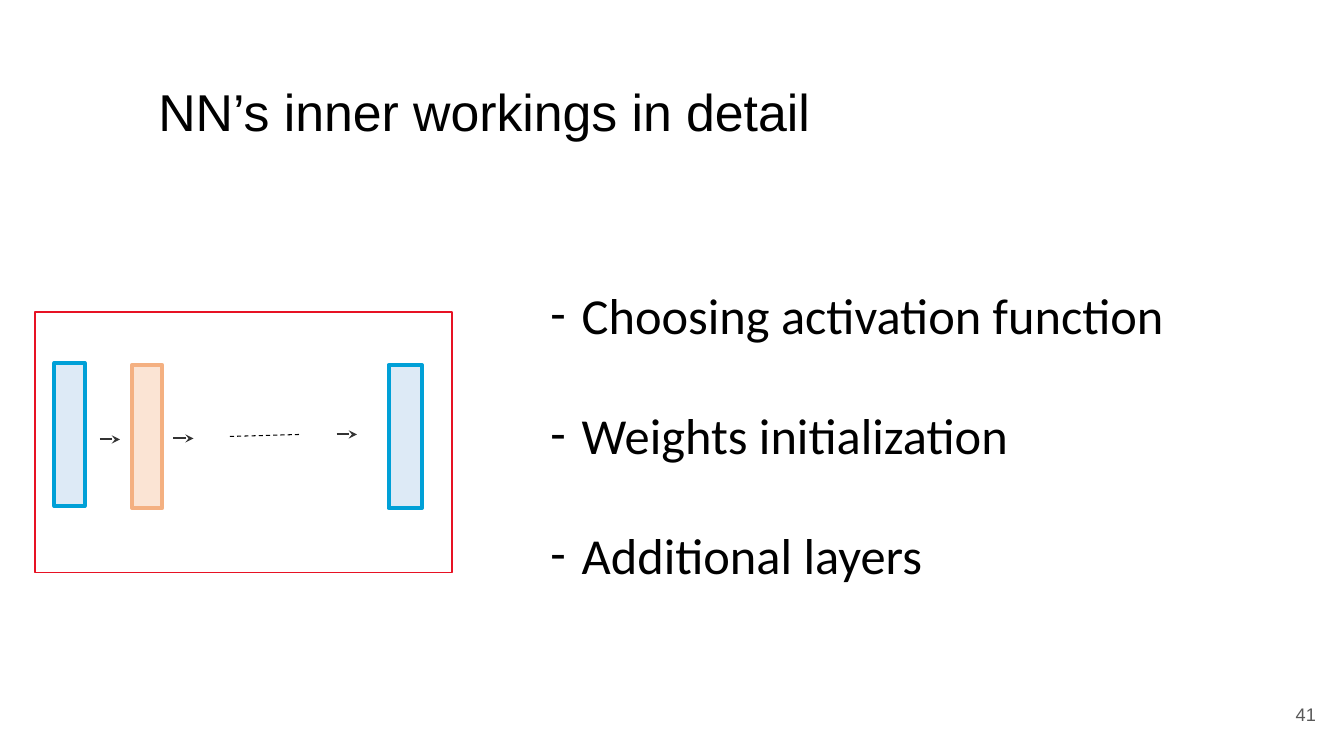
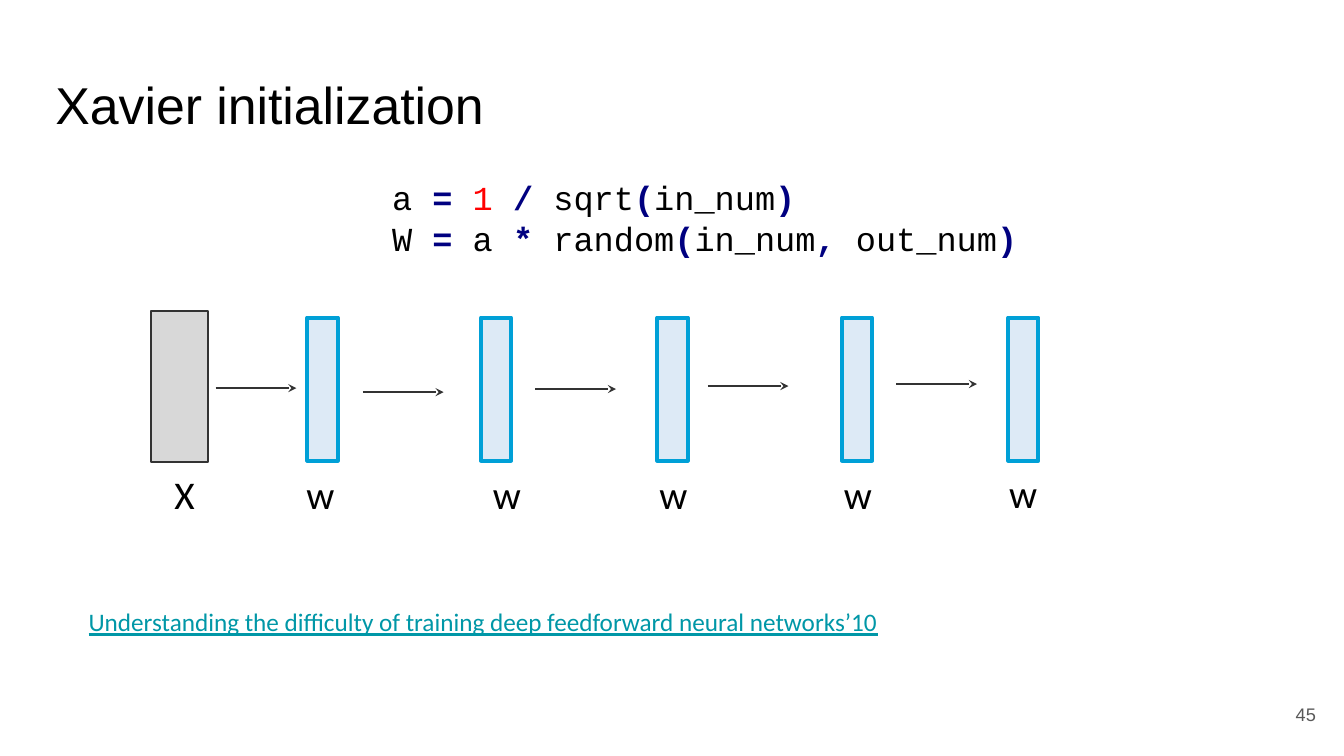
import pptx
import pptx.util
import pptx.dml.color
import pptx.enum.dml
import pptx.enum.shapes
import pptx.enum.text
import pptx.oxml.ns
from lxml import etree

Inches, Pt = pptx.util.Inches, pptx.util.Pt
PP_ALIGN = pptx.enum.text.PP_ALIGN
ANCHOR = pptx.enum.text.MSO_ANCHOR
AUTO_SIZE = pptx.enum.text.MSO_AUTO_SIZE
qn = pptx.oxml.ns.qn

# Shared style
BLACK, DARK, FOOTER = "000000", "333333", "595959"
BLUE = ("DDEAF6", "00A0D7")
ORANGE = ("FBE4D4", "F4B081")
GREY = ("D8D8D8", DARK)
RED, LINK = "E71224", "0097A7"
THIN, THICK = 1.42, 2.83
LAYER_H, LAYER_W = 1.42, 0.3

# Content: inner workings
topics = ["Choosing activation function", "Weights initialization", "Additional layers"]
mini_layers = [  # centre x, centre y, width, colours
    (0.69, 4.31, LAYER_W, BLUE),
    (4.02, 4.33, 0.33, BLUE),
    (1.46, 4.33, LAYER_W, ORANGE),
]
mini_arrows = [(0.99, 4.36), (1.72, 4.35), (3.34, 4.31)]

# Content: Xavier initialization
CODE_COLORS = {"name": BLACK, "op": "000080", "number": "FF0000"}
code = [
    [("a ", "name"), ("= ", "op"), ("1 ", "number"), ("/", "op"), (" sqrt", "name"),
     ("(", "op"), ("in_num", "name"), (")", "op")],
    [("W ", "name"), ("=", "op"), (" a ", "name"), ("*", "op"), (" random", "name"),
     ("(", "op"), ("in_num", "name"), (",", "op"), (" out_num", "name"), (")", "op")],
]
weight_layers = [3.2, 4.92, 6.67, 8.5, 10.15]  # centre x
flow_arrows = [(2.14, 3.85), (3.6, 3.89), (5.31, 3.86), (7.02, 3.83), (8.89, 3.81)]
layer_labels = [("X", 1.63, 4.62), ("w", 2.94, 4.62), ("w", 4.79, 4.62),
                ("w", 6.44, 4.62), ("w", 8.27, 4.62), ("w", 9.91, 4.61)]
paper = "Understanding the difficulty of training deep feedforward neural networks’10"


def rgb(value):
    return pptx.dml.color.RGBColor.from_string(value)


def style_font(font, size, name, color=BLACK):
    font.size, font.name = Pt(size), name
    font.color.rgb = rgb(color)


def place(shape, left, top, width, height):
    shape.left, shape.top = Inches(left), Inches(top)
    shape.width, shape.height = Inches(width), Inches(height)


def add_text(s, text, box, size, name, color=BLACK):
    tb = s.shapes.add_textbox(*map(Inches, box))
    tf = tb.text_frame
    tf.word_wrap = True
    tf.text = text
    for p in tf.paragraphs:
        for r in p.runs:
            style_font(r.font, size, name, color)
    return tf


def add_rect(shapes, box, fill, line, weight):
    rect = shapes.add_shape(pptx.enum.shapes.MSO_SHAPE.RECTANGLE, *map(Inches, box))
    rect.shadow.inherit = False
    if fill:
        rect.fill.solid()
        rect.fill.fore_color.rgb = rgb(fill)
    else:
        rect.fill.background()
    rect.line.color.rgb = rgb(line)
    rect.line.width = Pt(weight)


def add_layer(shapes, cx, cy, width, colors):
    box = (cx - width / 2, cy - LAYER_H / 2, width, LAYER_H)
    add_rect(shapes, box, *colors, THICK)


def add_line(shapes, start, end, color, weight):
    line = shapes.add_connector(pptx.enum.shapes.MSO_CONNECTOR.STRAIGHT,
                                *map(Inches, start + end))
    line.line.color.rgb = rgb(color)
    line.line.width = Pt(weight)
    etree.SubElement(line._element.spPr, qn("a:effectLst"))
    return line


def add_arrow(shapes, start, length):
    x, y = start
    arrow = add_line(shapes, start, (x + length, y), DARK, THIN)
    etree.SubElement(arrow.line._get_or_add_ln(), qn("a:tailEnd"), type="stealth")


def add_slide(prs, layout, title, box, number):
    s = prs.slides.add_slide(prs.slide_layouts[layout])
    place(s.shapes.title, *box)
    tf = s.shapes.title.text_frame
    tf.text = title
    tf.auto_size = AUTO_SIZE.NONE
    tf.vertical_anchor = ANCHOR.MIDDLE
    p = tf.paragraphs[0]
    p.alignment, p.line_spacing = PP_ALIGN.LEFT, 0.9
    style_font(p.runs[0].font, 37, "Arial")
    tf = add_text(s, str(number), (12.35, 6.8, 0.8, 0.57), 13, "Arial", FOOTER)
    tf.vertical_anchor = ANCHOR.MIDDLE
    tf.paragraphs[0].alignment = PP_ALIGN.RIGHT
    return s


def dash_bullet(p, indent):
    pPr = p._p.get_or_add_pPr()
    pPr.set("marL", str(Inches(indent)))
    pPr.set("indent", str(-Inches(indent)))
    color = etree.SubElement(pPr, qn("a:buClr"))
    etree.SubElement(color, qn("a:srgbClr"), val=BLACK)
    etree.SubElement(pPr, qn("a:buFont"), typeface="Calibri")
    etree.SubElement(pPr, qn("a:buChar"), char="-")


def inner_workings(prs):
    s = add_slide(prs, 1, "NN’s inner workings in detail", (1.47, 0.45, 7.65, 1.38), 41)

    # Small network in a frame
    add_rect(s.shapes, (0.35, 3.1, 4.13, 2.58), None, RED, THIN)
    network = s.shapes.add_group_shape().shapes
    for layer in mini_layers:
        add_layer(network, *layer)
    for start in mini_arrows:
        add_arrow(network, start, 0.2)
    more = add_line(s.shapes, (2.28, 4.33), (2.98, 4.31), BLACK, 0.75)
    more.line.dash_style = pptx.enum.dml.MSO_LINE.DASH

    # Topic list
    body = s.placeholders[1]
    place(body, 5.36, 2.77, 7.07, 3.13)
    tf = body.text_frame
    tf.text = "\n".join(topics)
    tf.auto_size = AUTO_SIZE.NONE
    for i, p in enumerate(tf.paragraphs):
        dash_bullet(p, 0.31)
        p.space_before = Pt(42.5 if i else 0)
        style_font(p.runs[0].font, 36, "Calibri")


def xavier(prs):
    s = add_slide(prs, 5, "Xavier initialization", (0.45, 0.65, 12.42, 0.83), 45)

    # Code
    lines = ["".join(text for text, _ in line) for line in code]
    tf = add_text(s, "", (3.79, 1.71, 6.67, 0.91), 24, "Courier New")
    tf.text = "\n".join([""] * len(lines))
    for p, line in zip(tf.paragraphs, code):
        for text, kind in line:
            r = p.add_run()
            r.text = text
            style_font(r.font, 24, "Courier New", CODE_COLORS[kind])
            r.font.bold = kind == "op"

    # Input and weight layers
    add_rect(s.shapes, (1.5, 3.09, 0.56, 1.49), *GREY, THIN)
    for cx in weight_layers:
        add_layer(s.shapes, cx, 3.86, LAYER_W, BLUE)
    for start in flow_arrows:
        add_arrow(s.shapes, start, 0.8)
    for text, left, top in layer_labels:
        add_text(s, text, (left, top, 0.48, 0.57), 28, "Calibri")

    # Paper
    tf = add_text(s, paper, (0.78, 5.97, 8.81, 0.4), 18, "Calibri", LINK)
    tf.paragraphs[0].runs[0].font.underline = True


def main():
    prs = pptx.Presentation()
    prs.slide_width, prs.slide_height = Inches(13.33), Inches(7.5)
    inner_workings(prs)
    xavier(prs)
    prs.save("out.pptx")


if __name__ == "__main__":
    main()
